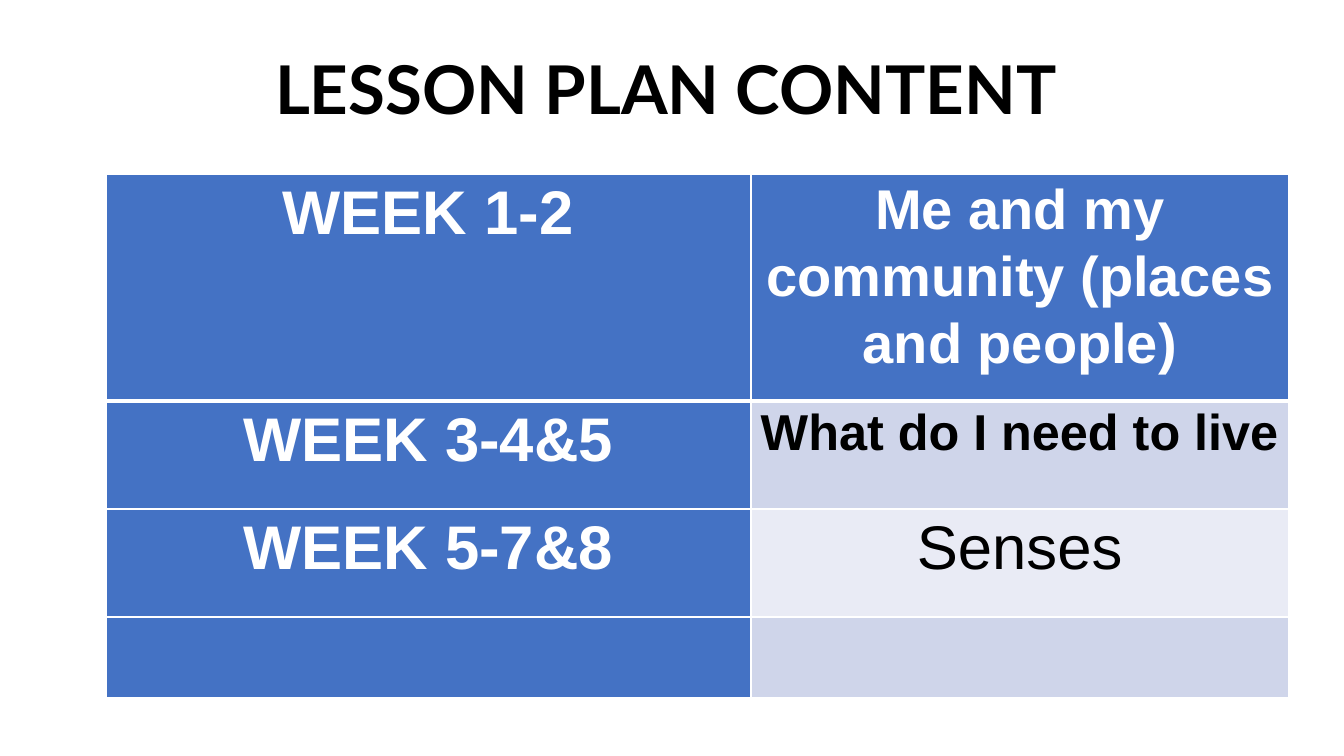
from dataclasses import dataclass

from lxml import etree
from pptx import Presentation
from pptx.dml.color import RGBColor
from pptx.enum.text import MSO_ANCHOR, MSO_AUTO_SIZE, PP_ALIGN
from pptx.oxml.ns import qn
from pptx.util import Inches, Pt

CENTER = PP_ALIGN.CENTER
TOP = MSO_ANCHOR.TOP
FIXED = MSO_AUTO_SIZE.NONE

HEX = {"blue": "4472C4", "band": "CFD5EA", "pale": "E9EBF5",
       "white": "FFFFFF", "black": "000000"}

# Slide size, and a grid of 100 columns by 100 rows
WIDE, HIGH = Inches(13.33), Inches(7.5)
SPANS = (48, 40)


@dataclass
class Entry:
    text: str
    fill: str
    size: int = 44
    color: str = "white"
    bold: bool = True


@dataclass
class Line:
    height: float
    week: Entry
    topic: Entry


LINES = [
    Line(30, Entry("WEEK 1-2", "blue"),
         Entry("Me and my community (places and people)", "blue", 40)),
    Line(14.27, Entry("WEEK 3-4&5", "blue"),
         Entry("What do I need to live", "band", 36, "black")),
    Line(14.27, Entry("WEEK 5-7&8", "blue"),
         Entry("Senses", "pale", 44, "black", False)),
    Line(10.67, Entry("", "blue"), Entry("", "band")),
]


def col(count: float) -> int:
    return round(WIDE * count / 100)


def row(count: float) -> int:
    return round(HIGH * count / 100)


def write(frame, text: str, *, size: int, color: str, font: str = "Arial",
          bold: bool = True, space: float = 1, after: int = 0) -> None:
    para = frame.paragraphs[0]
    para.alignment = CENTER
    para.line_spacing = space
    para.space_before, para.space_after = Pt(0), Pt(after)
    run = para.add_run()
    run.text = text
    run.font.name, run.font.size, run.font.bold = font, Pt(size), bold
    run.font.color.rgb = RGBColor.from_string(HEX[color])


def border(cell, top: int, base: int) -> None:
    props = cell._tc.get_or_add_tcPr()
    for side, width in (("L", 1), ("R", 1), ("T", top), ("B", base)):
        edge = etree.SubElement(props, qn(f"a:ln{side}"), w=str(Pt(width)))
        paint = etree.SubElement(edge, qn("a:solidFill"))
        etree.SubElement(paint, qn("a:srgbClr"), val=HEX["white"])


def fill_cell(cell, entry: Entry, top: int, base: int) -> None:
    border(cell, top, base)
    cell.fill.solid()
    cell.fill.fore_color.rgb = RGBColor.from_string(HEX[entry.fill])
    cell.margin_left = cell.margin_right = Inches(0.07)
    cell.margin_top = cell.margin_bottom = 0
    if entry.text:
        write(cell.text_frame, entry.text, size=entry.size,
              color=entry.color, bold=entry.bold, space=1.07, after=8)


def add_plan(slide) -> None:
    tall = sum(line.height for line in LINES)
    plan = slide.shapes.add_table(len(LINES), len(SPANS), col(7.88), row(23.07),
                                  col(sum(SPANS)), row(tall)).table
    for column, span in zip(plan.columns, SPANS):
        column.width = col(span)
    for i, line in enumerate(LINES):
        plan.rows[i].height = row(line.height)
        # A thick rule parts the first row from the rest
        top, base = (3 if i == 1 else 1), (3 if i == 0 else 1)
        for j, entry in enumerate((line.week, line.topic)):
            fill_cell(plan.cell(i, j), entry, top, base)


def add_title(slide) -> None:
    title = slide.shapes.title
    title.left, title.top = col(9.75), row(5.6)
    title.width, title.height = col(79.6), row(16.13)
    frame = title.text_frame
    frame.word_wrap, frame.auto_size = True, FIXED
    frame.vertical_anchor = TOP
    write(frame, "LESSON PLAN CONTENT", size=48, color="black", font="Lato")


def main() -> None:
    deck = Presentation()
    deck.slide_width, deck.slide_height = WIDE, HIGH
    slide = deck.slides.add_slide(deck.slide_layouts[5])
    add_title(slide)
    add_plan(slide)
    deck.save("out.pptx")


if __name__ == "__main__":
    main()
